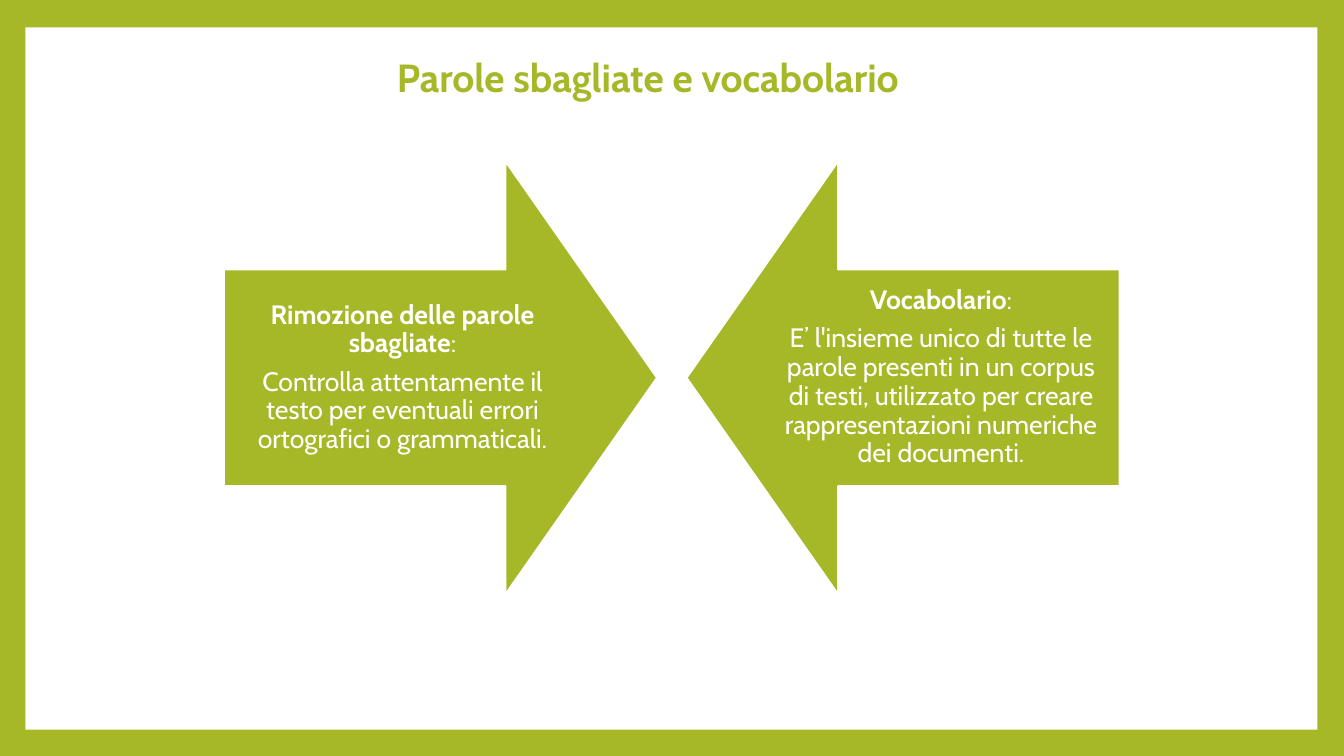
import pptx
import pptx.dml.color
import pptx.enum.shapes
import pptx.enum.text
import pptx.util

Cm = pptx.util.Cm
Pt = pptx.util.Pt
SHAPE = pptx.enum.shapes.MSO_SHAPE
ALIGN = pptx.enum.text.PP_ALIGN
ANCHOR = pptx.enum.text.MSO_ANCHOR

GREEN = "A6B727"
WHITE = "FFFFFF"
FONT = "Cabin"

ARROW_TOP, ARROW_SIZE = 4.06, 10.92
ARROWS = [
    (SHAPE.RIGHT_ARROW, 5.64, "Rimozione delle parole sbagliate",
     "Controlla attentamente il testo per eventuali errori ortografici o grammaticali."),
    (SHAPE.LEFT_ARROW, 17.3, "Vocabolario",
     "E’ l'insieme unico di tutte le parole presenti in un corpus di testi, "
     "utilizzato per creare rappresentazioni numeriche dei documenti."),
]


def set_attrs(obj, values):
    """Set every attribute named in a dict of format values."""
    for name, value in values.items():
        setattr(obj, name, value)


def paint(fill, color):
    """Give a fill a solid colour from a hex string."""
    fill.solid()
    fill.fore_color.rgb = pptx.dml.color.RGBColor.from_string(color)


def add_run(p, text, size, color, bold=False):
    """Append a formatted run to a paragraph."""
    r = p.add_run()
    r.text = text
    set_attrs(r.font, {"name": FONT, "size": Pt(size), "bold": bold})
    paint(r.font.fill, color)


def add_block(s, kind, left, top, width, height, color):
    """Add a flat filled shape without an outline."""
    sp = s.shapes.add_shape(kind, Cm(left), Cm(top), Cm(width), Cm(height))
    sp.shadow.inherit = False
    paint(sp.fill, color)
    sp.line.fill.background()
    return sp


def add_arrow(s, kind, left, term, definition):
    """Add a block arrow holding a bold term and its definition."""
    sp = add_block(s, kind, left, ARROW_TOP, ARROW_SIZE, ARROW_SIZE, GREEN)
    paint(sp.line.fill, WHITE)
    sp.line.width = Pt(1.5)
    sp.adjustments[0], sp.adjustments[1] = 0.5, 0.35
    tf = sp.text_frame
    sides = ("left", "top", "right", "bottom")
    set_attrs(tf, {f"margin_{side}": Cm(0.38) for side in sides})
    set_attrs(tf, {"word_wrap": True, "vertical_anchor": ANCHOR.MIDDLE})
    head, body = tf.paragraphs[0], tf.add_paragraph()
    for p in (head, body):
        set_attrs(p, {"alignment": ALIGN.CENTER, "line_spacing": 0.9,
                      "space_after": Pt(6.65)})
    add_run(head, term, 19, WHITE, bold=True)
    add_run(head, ":", 19, WHITE)
    add_run(body, definition, 19, WHITE)


def format_title(sp, text):
    """Place the title placeholder and fill in its text."""
    set_attrs(sp, {"left": Cm(9.75), "top": Cm(1.22),
                   "width": Cm(16.3), "height": Cm(1.45)})
    tf = sp.text_frame
    set_attrs(tf, {"word_wrap": True, "vertical_anchor": ANCHOR.TOP,
                   "auto_size": pptx.enum.text.MSO_AUTO_SIZE.NONE})
    p = tf.paragraphs[0]
    p.alignment = ALIGN.LEFT
    add_run(p, text, 28, GREEN, bold=True)


def main():
    """Build the slide and save it."""
    prs = pptx.Presentation()
    set_attrs(prs, {"slide_width": Cm(33.87), "slide_height": Cm(19.05)})
    s = prs.slides.add_slide(prs.slide_layouts[5])
    paint(s.background.fill, GREEN)
    title = s.shapes.title
    panel = add_block(s, SHAPE.RECTANGLE, 0.64, 0.69, 32.56, 17.7, WHITE)
    title.element.addprevious(panel.element)
    format_title(title, "Parole sbagliate e vocabolario")
    for arrow in ARROWS:
        add_arrow(s, *arrow)
    prs.save("out.pptx")


if __name__ == "__main__":
    main()
